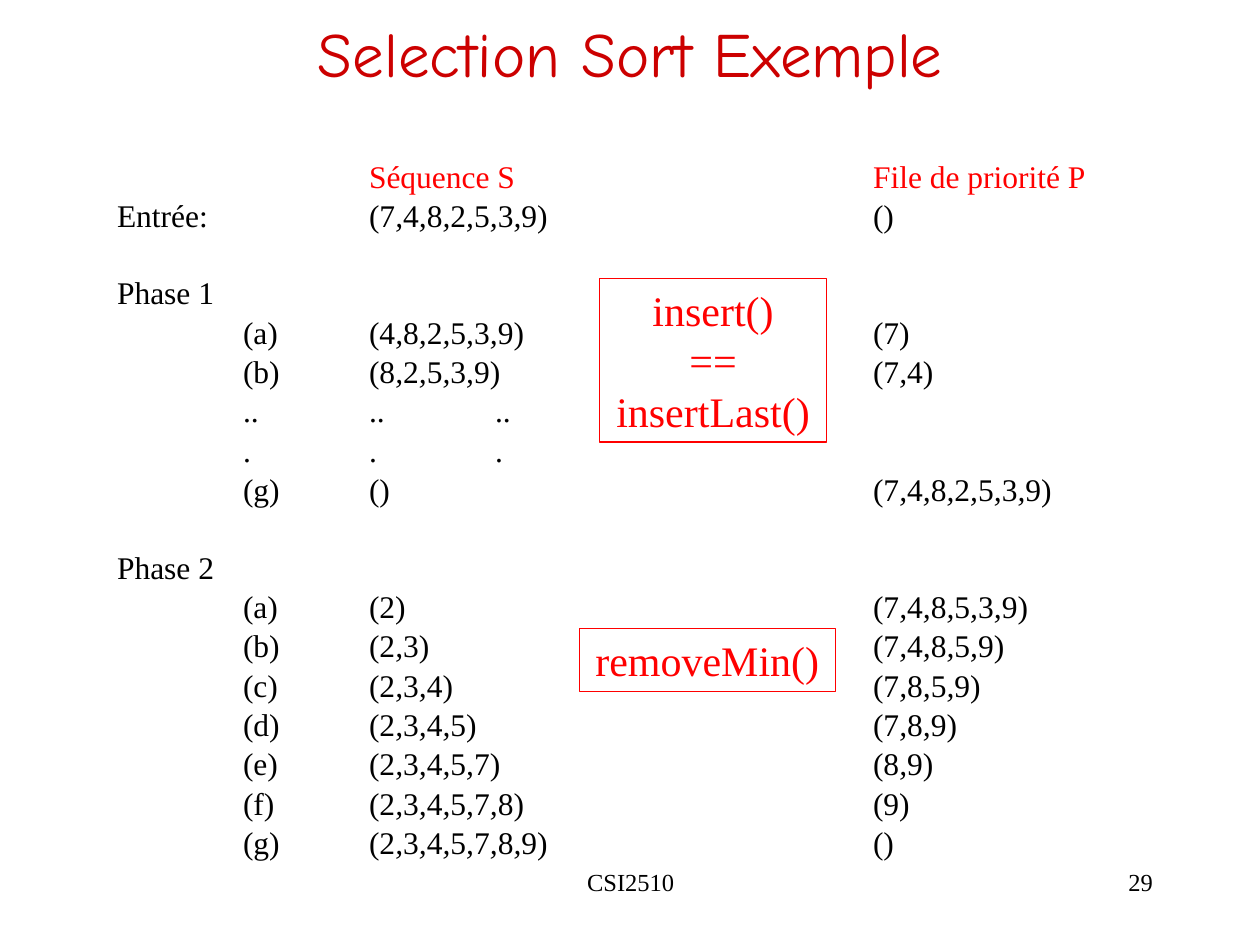
from pptx import Presentation
from pptx.dml.color import RGBColor
from pptx.enum.shapes import MSO_SHAPE
from pptx.enum.text import MSO_ANCHOR, PP_ALIGN
from pptx.oxml.ns import qn
from pptx.util import Cm, Pt
from lxml.etree import SubElement

HEAD = "Selection Sort Exemple"
ROWS = [
    ("", "", "Séquence S", "", "File de priorité P"),
    ("Entrée:", "", "(7,4,8,2,5,3,9)", "", "()"),
    ("Phase 1", "", "", "", ""),
    ("", "(a)", "(4,8,2,5,3,9)", "", "(7)"),
    ("", "(b)", "(8,2,5,3,9)", "", "(7,4)"),
    ("", "..", "..", "..", ""),
    ("", ".", ".", ".", ""),
    ("", "(g)", "()", "", "(7,4,8,2,5,3,9)"),
    ("Phase 2", "", "", "", ""),
    ("", "(a)", "(2)", "", "(7,4,8,5,3,9)"),
    ("", "(b)", "(2,3)", "", "(7,4,8,5,9)"),
    ("", "(c)", "(2,3,4)", "", "(7,8,5,9)"),
    ("", "(d)", "(2,3,4,5)", "", "(7,8,9)"),
    ("", "(e)", "(2,3,4,5,7)", "", "(8,9)"),
    ("", "(f)", "(2,3,4,5,7,8)", "", "(9)"),
    ("", "(g)", "(2,3,4,5,7,8,9)", "", "()"),
]
NOTES = [
    (["insert()", "==", "insertLast()"], (12.09, 5.61, 4.57, 3.3)),
    (["removeMin()"], (11.68, 12.67, 5.16, 1.27)),
]
FEET = [
    ("CSI2510", (8.69, 17.35, 8.05, 1.27), PP_ALIGN.CENTER),
    ("29", (18.21, 17.35, 5.28, 1.27), PP_ALIGN.RIGHT),
]
STOPS = (0, 2.54, 5.08, 7.62, 15.24)

THEME = {
    "serif": "Times New Roman", "hand": "Comic Neue",
    "black": "000000", "red": "FF0000", "dark": "CC0000",
    "head": 36, "note": 24, "body": 18, "foot": 14,
    "lead": 0.8, "gap": 5.2, "break": 27, "line": 0.75,
}


def write(para, text, size="body", color="black", font="serif",
          align=PP_ALIGN.LEFT, slant=False):
    para.alignment = align
    for i, part in enumerate(text.replace(",", "\n,\n").split("\n")):
        run = para.add_run()
        run.text = part
        run.font.name = THEME[font]
        run.font.size = Pt(THEME[size])
        run.font.color.rgb = RGBColor.from_string(THEME[color])
        if slant and i % 2:
            run.font.italic = True


def line(frame, n):
    return frame.add_paragraph() if n else frame.paragraphs[0]


def box(slide, place):
    frame = slide.shapes.add_textbox(*map(Cm, place)).text_frame
    frame.word_wrap = True
    return frame


def trace(slide):
    frame = box(slide, (2.11, 3.18, 22.02, 13.77))
    for n, row in enumerate(ROWS):
        para = line(frame, n)
        para.line_spacing = THEME["lead"]
        if n:
            para.space_before = Pt(THEME["break" if row[0].startswith("Phase") else "gap"])
        used = [(x, cell) for x, cell in zip(STOPS, row) if cell]
        tabs = SubElement(para._p.get_or_add_pPr(), qn("a:tabLst"))
        for x, cell in used:
            if x:
                SubElement(tabs, qn("a:tab"), pos=str(Cm(x)), algn="l")
        start = "" if row[0] else "\t"
        text = start + "\t".join(cell for x, cell in used)
        write(para, text, color="black" if n else "red", slant=True)


def note(slide, lines, place):
    shape = slide.shapes.add_shape(MSO_SHAPE.RECTANGLE, *map(Cm, place))
    shape.shadow.inherit = False
    shape.fill.background()
    shape.line.color.rgb = RGBColor.from_string(THEME["red"])
    shape.line.width = Pt(THEME["line"])
    frame = shape.text_frame
    frame.word_wrap = True
    frame.vertical_anchor = MSO_ANCHOR.TOP
    for n, text in enumerate(lines):
        write(line(frame, n), text, size="note", color="red", align=PP_ALIGN.CENTER)


def main():
    deck = Presentation()
    deck.slide_width, deck.slide_height = Cm(25.4), Cm(19.05)
    slide = deck.slides.add_slide(deck.slide_layouts[6])
    for text, place, align in FEET:
        write(box(slide, place).paragraphs[0], text, size="foot", align=align)
    head = box(slide, (1.91, 0, 21.59, 2.12))
    head.vertical_anchor = MSO_ANCHOR.MIDDLE
    write(head.paragraphs[0], HEAD, size="head", color="dark", font="hand",
          align=PP_ALIGN.CENTER)
    trace(slide)
    for lines, place in NOTES:
        note(slide, lines, place)
    deck.save("out.pptx")


if __name__ == "__main__":
    main()
